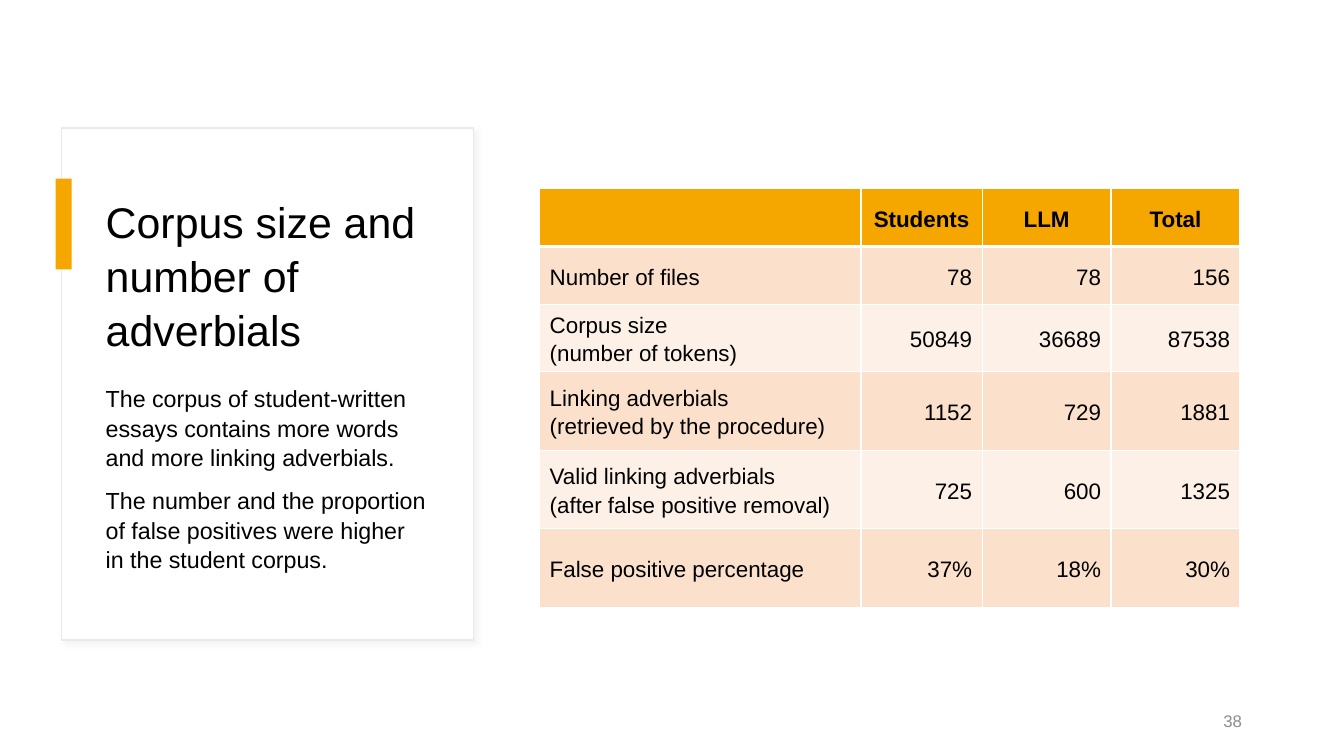
from lxml.etree import SubElement
from pptx import Presentation
from pptx.dml.color import RGBColor
from pptx.enum.shapes import MSO_SHAPE as Shape
from pptx.enum.text import MSO_ANCHOR as Anchor, MSO_AUTO_SIZE as AutoSize, PP_ALIGN as Align
from pptx.oxml import parse_xml
from pptx.oxml.ns import nsdecls, qn
from pptx.util import Cm, Pt

FONT = "Arial"
BLACK, WHITE, AMBER = "000000", "FFFFFF", "F5A700"
BANDS = ("FBE1CC", "FDF1E7")
TITLE = "Corpus size and number of adverbials"
FINDINGS = (
    "The corpus of student-written essays contains more words and more linking adverbials.",
    "The number and the proportion of false positives were higher in the student corpus.",
)
COLUMN_WIDTHS = (8.1, 3.05, 3.25, 3.25)
ROW_HEIGHTS = (1.46, 1.46, 1.46, 1.98, 1.98, 1.98)
CORPUS_ROWS = (
    ("", "Students", "LLM", "Total"),
    ("Number of files", "78", "78", "156"),
    ("Corpus size\n(number of tokens)", "50849", "36689", "87538"),
    ("Linking adverbials\n(retrieved by the procedure)", "1152", "729", "1881"),
    ("Valid linking adverbials\n(after false positive removal)", "725", "600", "1325"),
    ("False positive percentage", "37%", "18%", "30%"),
)


def color(hex_value):
    return RGBColor.from_string(hex_value)


def place(item, left, top, width, height):
    item.left, item.top, item.width, item.height = map(Cm, (left, top, width, height))


def write(paragraph, text, size, hue=BLACK, bold=False, align=Align.LEFT):
    """Add the text to a paragraph, one run for each line."""
    paragraph.alignment = align
    for number, line in enumerate(text.split("\n")):
        if number:
            paragraph.add_line_break()
        run = paragraph.add_run()
        run.text = line
        run.font.name, run.font.size, run.font.bold = FONT, Pt(size), bold
        run.font.color.rgb = color(hue)


def add_rectangle(slide, box, fill, outline=None):
    rectangle = slide.shapes.add_shape(Shape.RECTANGLE, *map(Cm, box))
    rectangle.shadow.inherit = False
    rectangle.fill.solid()
    rectangle.fill.fore_color.rgb = color(fill)
    if outline:
        rectangle.line.color.rgb = color(outline)
        rectangle.line.width = Pt(1)
    else:
        rectangle.line.fill.background()
    return rectangle


def add_soft_shadow(rectangle):
    effects = rectangle._element.spPr.find(qn("a:effectLst"))
    effects.append(parse_xml(
        f'<a:outerShdw {nsdecls("a")} blurRad="{Pt(4)}" dist="{Pt(3)}" dir="2700000" algn="tl" '
        'rotWithShape="0"><a:srgbClr val="D9D9D9"><a:alpha val="30000"/></a:srgbClr></a:outerShdw>'))


def fill_placeholder(placeholder, box, paragraphs, size):
    place(placeholder, *box)
    frame = placeholder.text_frame
    frame.word_wrap, frame.auto_size = True, AutoSize.NONE
    frame.vertical_anchor = Anchor.TOP
    for number, text in enumerate(paragraphs):
        paragraph = frame.add_paragraph() if number else frame.paragraphs[0]
        properties = paragraph._p.get_or_add_pPr()
        properties.set("marL", "0")
        properties.set("indent", "0")
        SubElement(properties, qn("a:buNone"))
        paragraph.line_spacing = 1.05
        paragraph.space_before = Pt(10 if number else 0)
        write(paragraph, text, size)


def set_borders(cell, bottom):
    properties = cell._tc.get_or_add_tcPr()
    widths = {"lnL": 1, "lnR": 1, "lnT": 1, "lnB": bottom}
    for position, (side, width) in enumerate(widths.items()):
        properties.insert(position, parse_xml(
            f'<a:{side} {nsdecls("a")} w="{Pt(width)}"><a:solidFill>'
            f'<a:srgbClr val="{WHITE}"/></a:solidFill></a:{side}>'))


def add_corpus_table(slide, left, top):
    frame = slide.shapes.add_table(
        len(CORPUS_ROWS), len(COLUMN_WIDTHS), Cm(left), Cm(top),
        Cm(sum(COLUMN_WIDTHS)), Cm(sum(ROW_HEIGHTS)))
    table = frame.table
    table.horz_banding = False
    for column, width in zip(table.columns, COLUMN_WIDTHS):
        column.width = Cm(width)
    for row_number, (row, height, texts) in enumerate(zip(table.rows, ROW_HEIGHTS, CORPUS_ROWS)):
        row.height = Cm(height)
        header = row_number == 0
        for column_number, (cell, text) in enumerate(zip(row.cells, texts)):
            cell.fill.solid()
            cell.fill.fore_color.rgb = color(AMBER if header else BANDS[(row_number - 1) % 2])
            cell.vertical_anchor = Anchor.MIDDLE
            set_borders(cell, 3 if header else 1)
            if not text:
                continue
            paragraph = cell.text_frame.paragraphs[0]
            paragraph.line_spacing, paragraph.space_after = 1.15, Pt(8)
            align = Align.CENTER if header else Align.RIGHT if column_number else Align.LEFT
            write(paragraph, text, 16, bold=header, align=align)


def add_page_number(slide, number):
    page_number = slide.shapes.add_textbox(Cm(23.93), Cm(17.65), Cm(7.62), Cm(1.02))
    frame = page_number.text_frame
    frame.word_wrap, frame.vertical_anchor = True, Anchor.MIDDLE
    write(frame.paragraphs[0], number, 12, "8C8C8C", align=Align.RIGHT)


def main():
    deck = Presentation()
    deck.slide_width, deck.slide_height = Cm(33.87), Cm(19.05)
    slide = deck.slides.add_slide(deck.slide_layouts[1])
    title, findings = slide.placeholders

    card = add_rectangle(slide, (1.55, 3.23, 10.39, 12.9), WHITE, "E9E9E9")
    add_soft_shadow(card)
    accent = add_rectangle(slide, (1.4, 4.5, 0.41, 2.29), AMBER)
    for backdrop in (accent, card):
        slide.shapes._spTree.insert(2, backdrop._element)

    fill_placeholder(title, (2.41, 4.75, 8.61, 4.75), [TITLE], 30.6)
    add_corpus_table(slide, 13.6, 4.75)
    fill_placeholder(findings, (2.41, 9.53, 8.61, 5.74), FINDINGS, 16.6)
    add_page_number(slide, "38")
    deck.save("out.pptx")


if __name__ == "__main__":
    main()
